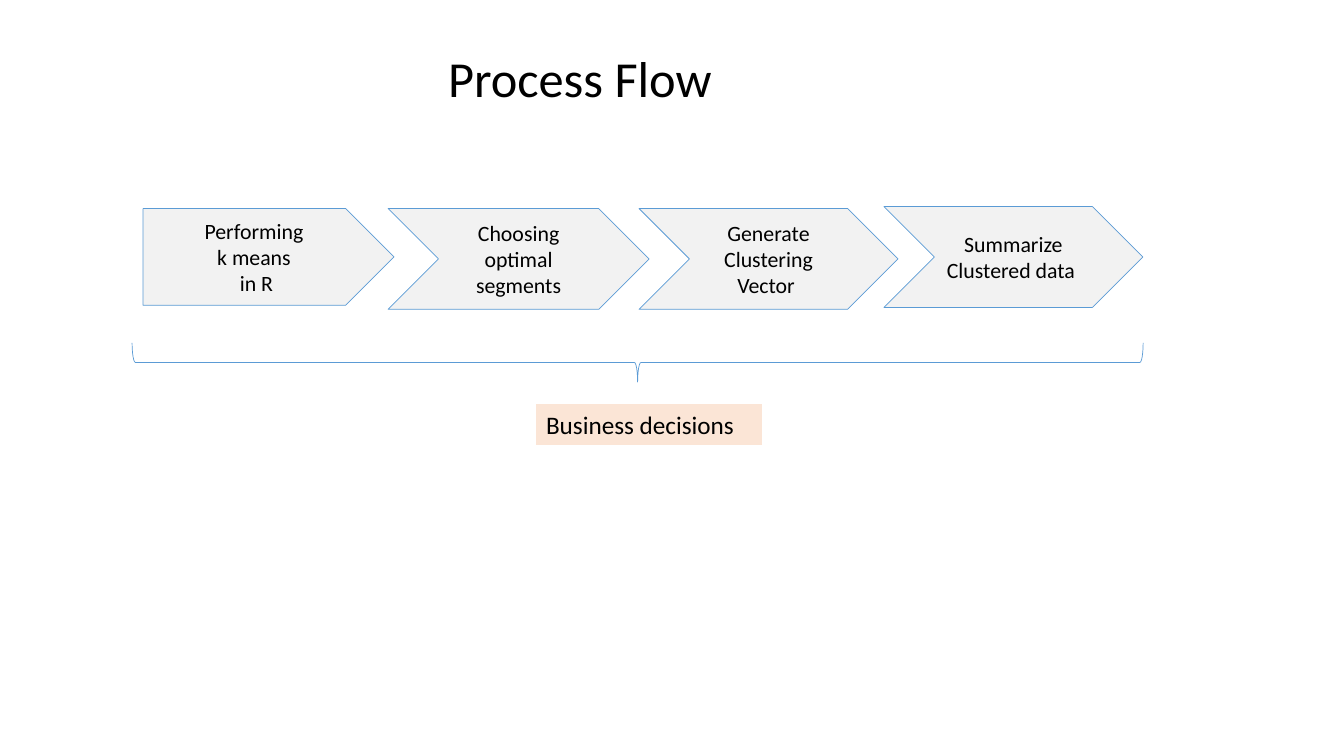
import pptx
import pptx.util
import pptx.dml.color
import pptx.enum.shapes
import pptx.enum.text

Pt = pptx.util.Pt
RGBColor = pptx.dml.color.RGBColor
MSO_SHAPE = pptx.enum.shapes.MSO_SHAPE
PP_ALIGN = pptx.enum.text.PP_ALIGN
MSO_ANCHOR = pptx.enum.text.MSO_ANCHOR
MSO_AUTO_SIZE = pptx.enum.text.MSO_AUTO_SIZE

BLACK = RGBColor(0x00, 0x00, 0x00)
GREY = RGBColor(0xF2, 0xF2, 0xF2)
BLUE = RGBColor(0x5B, 0x9B, 0xD5)
PEACH = RGBColor(0xFB, 0xE5, 0xD6)


def set_text(sp, text, size, align=PP_ALIGN.CENTER, anchor=MSO_ANCHOR.MIDDLE,
             auto_size=MSO_AUTO_SIZE.NONE, spacing=None):
    tf = sp.text_frame
    tf.word_wrap = True
    tf.auto_size = auto_size
    tf.vertical_anchor = anchor
    tf.text = text
    for p in tf.paragraphs:
        p.alignment = align
        p.line_spacing = spacing
        for r in p.runs:
            r.font.name = "Calibri"
            r.font.size = Pt(size)
            r.font.color.rgb = BLACK


def add_shape(kind, left, top, width, height, fill=None, line=None):
    sp = s.shapes.add_shape(kind, Pt(left), Pt(top), Pt(width), Pt(height))
    sp.shadow.inherit = False
    if fill is None:
        sp.fill.background()
    else:
        sp.fill.solid()
        sp.fill.fore_color.rgb = fill
    if line is None:
        sp.line.fill.background()
    else:
        sp.line.color.rgb = line
        sp.line.width = Pt(0.5)
    return sp


prs = pptx.Presentation()
prs.slide_width, prs.slide_height = Pt(960), Pt(540)
s = prs.slides.add_slide(prs.slide_layouts[5])

title = s.shapes.title
title.left, title.top, title.width, title.height = Pt(31.7), Pt(27.4), Pt(773.3), Pt(54)
set_text(title, "Process Flow ", 36, anchor=MSO_ANCHOR.BOTTOM, spacing=0.9)

steps = [
    (MSO_SHAPE.PENTAGON, 102.2, 149, 179.3, 69.1, "Performing \nk means \nin R"),
    (MSO_SHAPE.CHEVRON, 277.2, 149, 186.5, 72, "Choosing optimal segments"),
    (MSO_SHAPE.CHEVRON, 456.5, 149, 185, 72, "Generate Clustering Vector "),
    (MSO_SHAPE.CHEVRON, 631.4, 147.6, 185, 72, "Summarize Clustered data "),
]
for kind, left, top, width, height, text in steps:
    step = add_shape(kind, left, top, width, height, fill=GREY, line=BLUE)
    set_text(step, text, 15.6)

brace = add_shape(MSO_SHAPE.RIGHT_BRACE, 441.4, -102.2, 28.1, 722.2, line=BLUE)
brace.rotation = 90

outcome = add_shape(MSO_SHAPE.RECTANGLE, 383, 288.7, 161.3, 29.1, fill=PEACH)
set_text(outcome, "Business decisions", 18, align=PP_ALIGN.LEFT, anchor=MSO_ANCHOR.TOP,
         auto_size=MSO_AUTO_SIZE.SHAPE_TO_FIT_TEXT)

prs.save("out.pptx")
